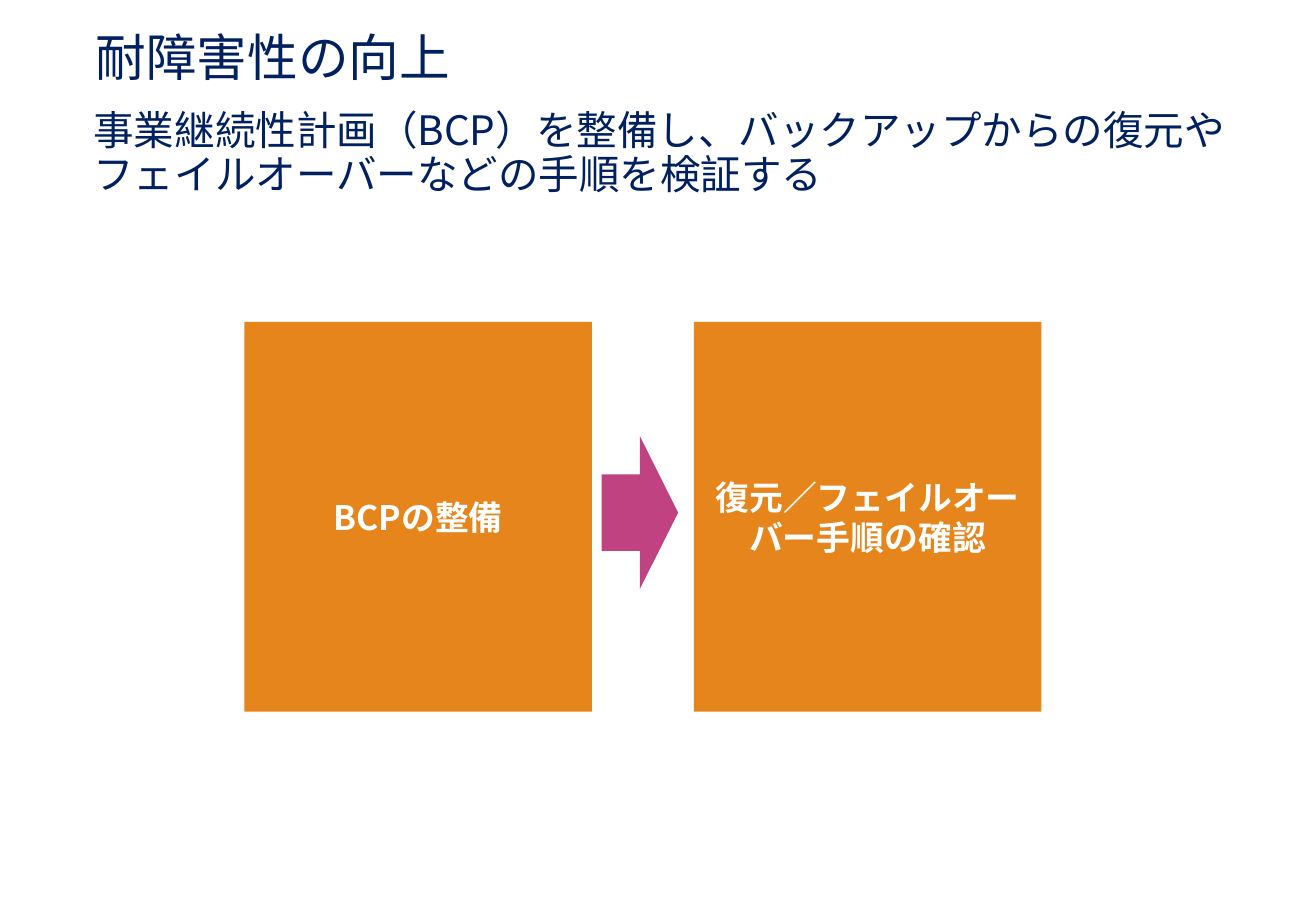
import dataclasses

import pptx
import pptx.dml.color
import pptx.enum.shapes
import pptx.enum.text
import pptx.oxml.ns
import pptx.util
from lxml import etree

SHAPE = pptx.enum.shapes.MSO_SHAPE
ANCHOR = pptx.enum.text.MSO_ANCHOR
ALIGN = pptx.enum.text.PP_ALIGN


@dataclasses.dataclass(frozen=True)
class Theme:
    font: str = "Noto Sans CJK JP"
    navy: str = "002060"
    orange: str = "E5851B"
    magenta: str = "C04281"
    white: str = "FFFFFF"
    title_size: int = 30
    message_size: int = 24
    step_size: int = 20
    heading_spacing: float = 0.9


class SlideBuilder:
    """Places elements on a grid of 100 columns by 100 rows."""

    GRID = 100

    def __init__(self, deck, theme):
        self.theme = theme
        self.column = deck.slide_width / self.GRID
        self.row = deck.slide_height / self.GRID
        self.slide = deck.slides.add_slide(deck.slide_layouts[6])

    def area(self, left, top, width, height):
        return (round(left * self.column), round(top * self.row),
                round(width * self.column), round(height * self.row))

    def add_text(self, frame, text, size, color, bold=False):
        frame.word_wrap = True
        paragraph = frame.paragraphs[0]
        run = paragraph.add_run()
        run.text = text
        font = run.font
        font.name = self.theme.font
        font.size = pptx.util.Pt(size)
        font.bold = bold
        font.color.rgb = pptx.dml.color.RGBColor.from_string(color)
        east_asian = etree.SubElement(run._r.get_or_add_rPr(), pptx.oxml.ns.qn("a:ea"))
        east_asian.set("typeface", self.theme.font)
        return paragraph

    def inset(self, frame, horizontal, vertical):
        frame.margin_left = frame.margin_right = pptx.util.Inches(horizontal)
        frame.margin_top = frame.margin_bottom = pptx.util.Inches(vertical)

    def heading(self, text, size, area, insets):
        frame = self.slide.shapes.add_textbox(*self.area(*area)).text_frame
        self.inset(frame, *insets)
        paragraph = self.add_text(frame, text, size, self.theme.navy)
        paragraph.line_spacing = self.theme.heading_spacing

    def block(self, kind, color, area):
        block = self.slide.shapes.add_shape(kind, *self.area(*area))
        block.shadow.inherit = False
        block.fill.solid()
        block.fill.fore_color.rgb = pptx.dml.color.RGBColor.from_string(color)
        block.line.fill.background()
        return block

    def step(self, text, area):
        frame = self.block(SHAPE.RECTANGLE, self.theme.orange, area).text_frame
        self.inset(frame, 0.04, 0.04)
        frame.vertical_anchor = ANCHOR.MIDDLE
        paragraph = self.add_text(frame, text, self.theme.step_size, self.theme.white, bold=True)
        paragraph.alignment = ALIGN.CENTER

    def arrow(self, area):
        self.block(SHAPE.RIGHT_ARROW, self.theme.magenta, area)


def main():
    deck = pptx.Presentation()
    deck.slide_width = pptx.util.Inches(10.83)
    deck.slide_height = pptx.util.Inches(7.5)
    theme = Theme()
    page = SlideBuilder(deck, theme)

    margin = 6.37
    page.heading("耐障害性の向上", theme.title_size, (margin, 2.93, 87.26, 7.33), (0.1, 0.05))
    page.heading(
        "事業継続性計画（BCP）を整備し、バックアップからの復元やフェイルオーバーなどの手順を検証する",
        theme.message_size, (margin, 11.6, 89.47, 4.8), (0.08, 0.04))

    first_step, step_pitch = 18.56, 34.16
    for index, text in enumerate(("BCPの整備", "復元／フェイルオーバー手順の確認")):
        page.step(text, (first_step + index * step_pitch, 35.33, 26.41, 42.8))
    page.arrow((45.71, 47.87, 5.82, 16.8))

    deck.save("out.pptx")


if __name__ == "__main__":
    main()
